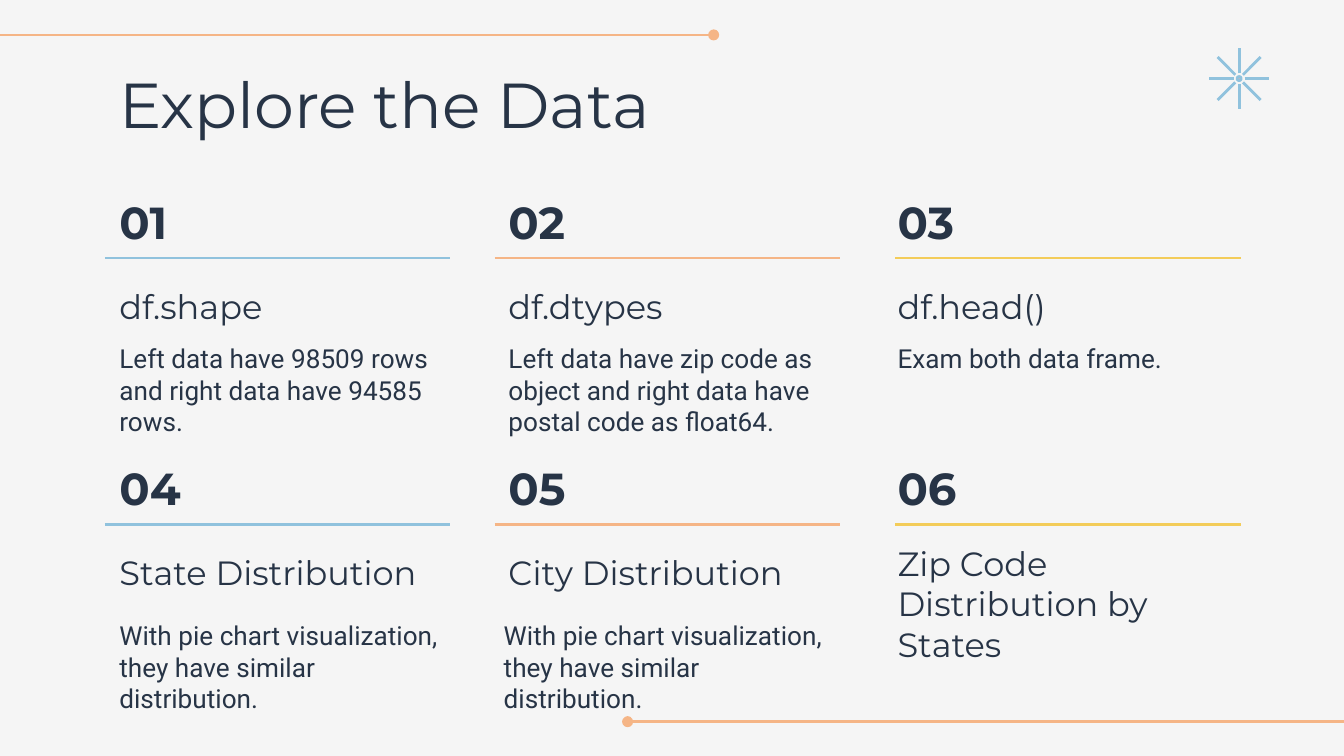
from collections import namedtuple
from math import cos, pi, sin

from lxml.etree import SubElement
from pptx import Presentation
from pptx.dml.color import RGBColor
from pptx.enum.shapes import MSO_CONNECTOR, MSO_SHAPE
from pptx.enum.text import MSO_ANCHOR
from pptx.oxml.ns import qn
from pptx.util import Inches, Pt

BACKGROUND = RGBColor(0xF5, 0xF5, 0xF5)
NAVY = RGBColor(0x27, 0x34, 0x46)
BLUE = RGBColor(0x90, 0xC2, 0xDD)
ORANGE = RGBColor(0xF5, 0xB5, 0x86)
YELLOW = RGBColor(0xF3, 0xCC, 0x59)
PINK = RGBColor(0xFC, 0xA8, 0xA2)

SLIDE_WIDTH, SLIDE_HEIGHT = 10, 5.625
COLUMN_LEFT, COLUMN_STEP, COLUMN_WIDTH = 0.79, 2.895, 2.64
ROW_TOP, ROW_STEP = 1.35, 1.98
RULE_WIDTH = 2.57
TEXT_HEIGHT = 0.53
RULES = [(0.78, BLUE), (3.68, ORANGE), (6.66, YELLOW)]

Step = namedtuple("Step", "heading body heading_height body_shift", defaults=("", TEXT_HEIGHT, 0))
STEPS = [
    Step("df.shape", "Left data have 98509 rows and right data have 94585 rows."),
    Step("df.dtypes", "Left data have zip code as object and right data have postal code as float64."),
    Step("df.head()", "Exam both data frame."),
    Step("State Distribution", "With pie chart visualization, they have similar distribution."),
    Step("City Distribution", "With pie chart visualization, they have similar distribution.", body_shift=-0.035),
    Step("Zip Code Distribution by States", heading_height=2 * TEXT_HEIGHT),
]


def add_text(slide, text, left, top, width, height, *, size, font="Montserrat",
             bold=False, anchor=MSO_ANCHOR.MIDDLE, spacing=1.0):
    """Add a wrapped text box with one formatted paragraph."""
    shape = slide.shapes.add_textbox(Inches(left), Inches(top), Inches(width), Inches(height))
    frame = shape.text_frame
    frame.word_wrap = True
    frame.vertical_anchor = anchor
    frame.margin_left = frame.margin_right = Inches(0.1)
    frame.margin_top = frame.margin_bottom = Inches(0.1)
    paragraph = frame.paragraphs[0]
    paragraph.line_spacing = spacing
    run = paragraph.add_run()
    run.text = text
    run.font.name = font
    run.font.size = Pt(size)
    run.font.bold = bold
    run.font.color.rgb = NAVY


def add_line(slide, start, end, color, dot_end=None):
    """Add a straight line, with a round dot at headEnd or tailEnd if named."""
    connector = slide.shapes.add_connector(
        MSO_CONNECTOR.STRAIGHT, *(Inches(length) for length in (*start, *end)))
    connector.line.color.rgb = color
    connector.line.width = Pt(1.5)
    properties = connector._element.spPr
    if dot_end:
        SubElement(properties.find(qn("a:ln")), qn(f"a:{dot_end}"), type="oval")
    SubElement(properties, qn("a:effectLst"))


def add_star(slide, center_x, center_y):
    """Add eight rays around a small dot."""
    inner, outer, radius = 0.04, 0.226, 0.015
    for ray in range(8):
        across, down = cos(ray * pi / 4), sin(ray * pi / 4)
        start, end = ((center_x + reach * across, center_y + reach * down)
                      for reach in (inner, outer))
        add_line(slide, start, end, BLUE)
    dot = slide.shapes.add_shape(
        MSO_SHAPE.OVAL, Inches(center_x - radius), Inches(center_y - radius),
        Inches(2 * radius), Inches(2 * radius))
    dot.shadow.inherit = False
    dot.fill.solid()
    dot.fill.fore_color.rgb = PINK
    dot.line.color.rgb = BLUE
    dot.line.width = Pt(1.5)


def add_step(slide, index, step):
    """Add a numbered step in its cell of the three-column grid."""
    row, column = divmod(index, len(RULES))
    left, top = COLUMN_LEFT + column * COLUMN_STEP, ROW_TOP + row * ROW_STEP
    rule_left, color = RULES[column]
    rule_top = top + 0.57
    body_top = top + (1.18 if row else 1.1)
    add_text(slide, f"{index + 1:02d}", left, top, COLUMN_WIDTH, 0.65,
             size=24, bold=True, spacing=0.9)
    add_line(slide, (rule_left, rule_top), (rule_left + RULE_WIDTH, rule_top), color)
    add_text(slide, step.heading, left, top + 0.65, COLUMN_WIDTH, step.heading_height,
             size=18, anchor=MSO_ANCHOR.BOTTOM)
    if step.body:
        add_text(slide, step.body, left + step.body_shift, body_top, COLUMN_WIDTH,
                 TEXT_HEIGHT, size=14, font="Roboto", anchor=MSO_ANCHOR.TOP)


def main():
    """Build and save the slide."""
    presentation = Presentation()
    presentation.slide_width = Inches(SLIDE_WIDTH)
    presentation.slide_height = Inches(SLIDE_HEIGHT)
    slide = presentation.slides.add_slide(presentation.slide_layouts[6])
    slide.background.fill.solid()
    slide.background.fill.fore_color.rgb = BACKGROUND
    add_line(slide, (0, 0.26), (5.31, 0.26), ORANGE, "tailEnd")
    add_line(slide, (4.67, 5.37), (SLIDE_WIDTH, 5.37), ORANGE, "headEnd")
    add_star(slide, 9.22, 0.585)
    add_text(slide, "Explore the Data", COLUMN_LEFT, 0.49, 8.43, 0.63, size=34, spacing=0.9)
    for index, step in enumerate(STEPS):
        add_step(slide, index, step)
    presentation.save("out.pptx")


if __name__ == "__main__":
    main()
